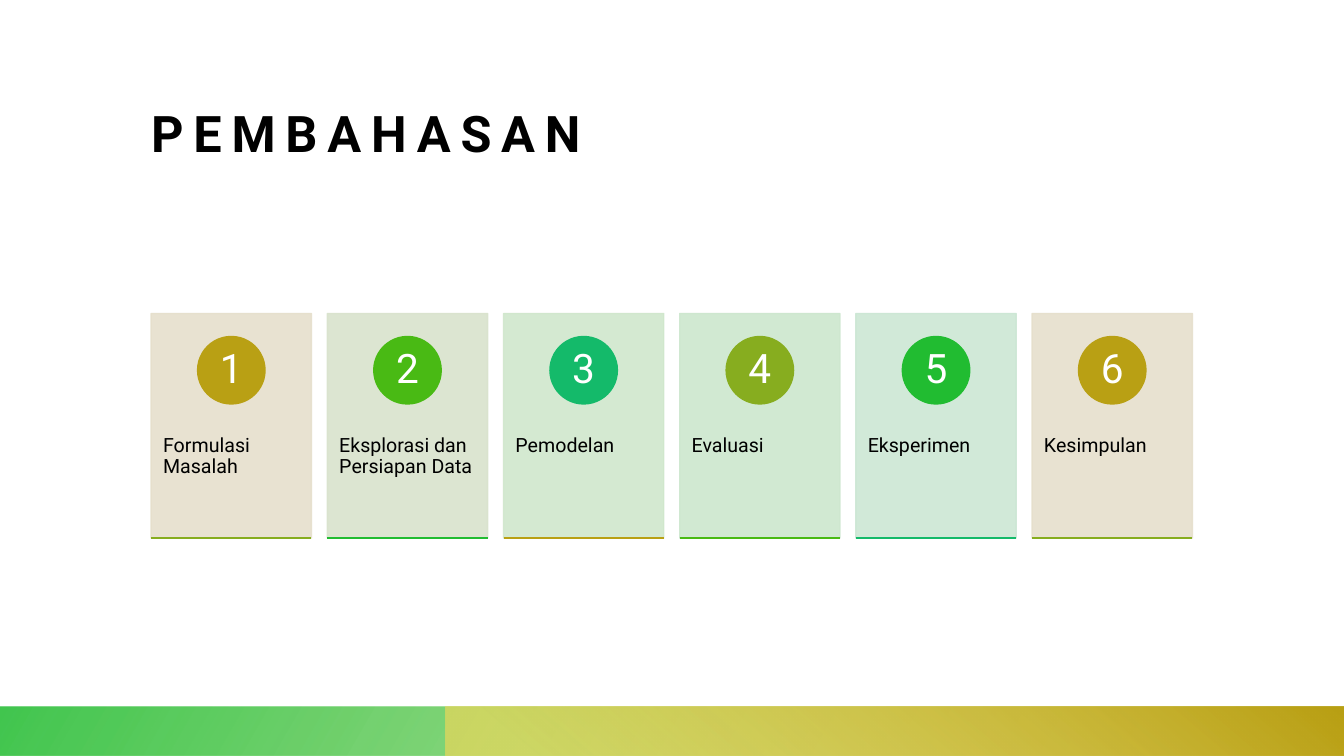
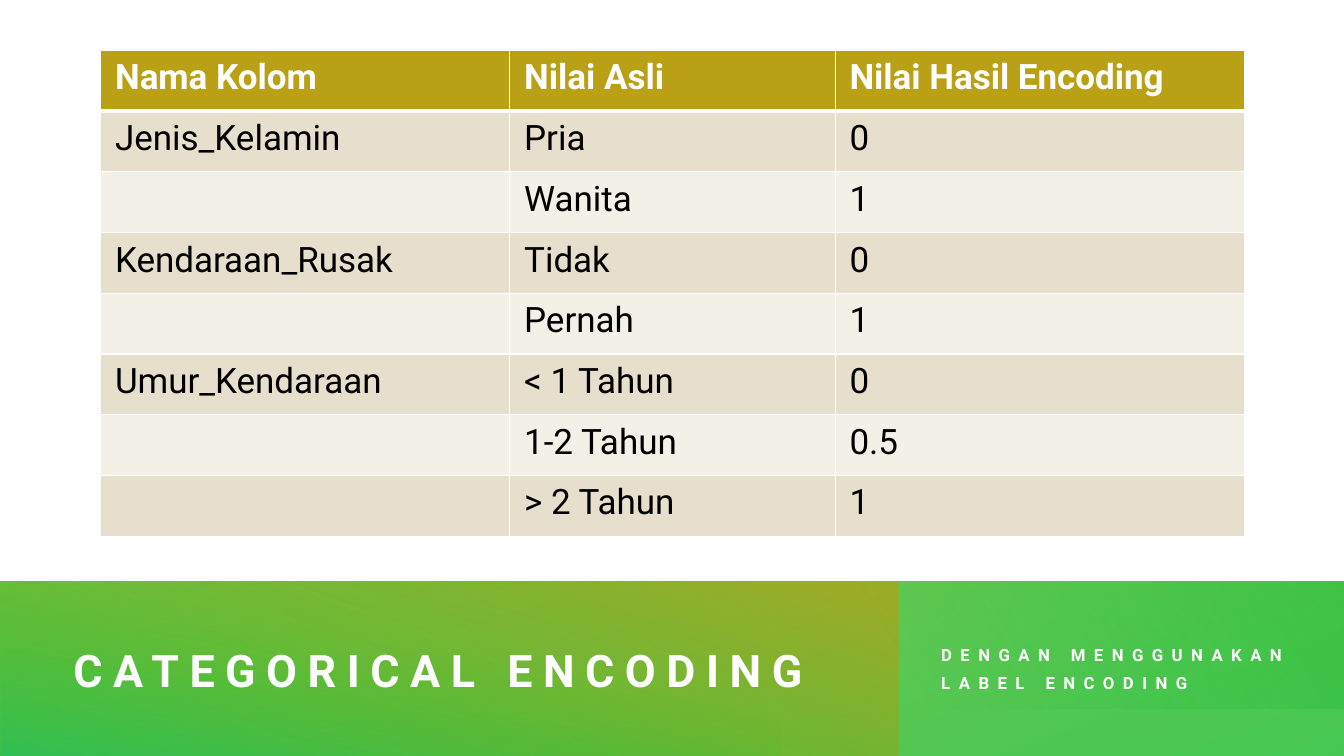
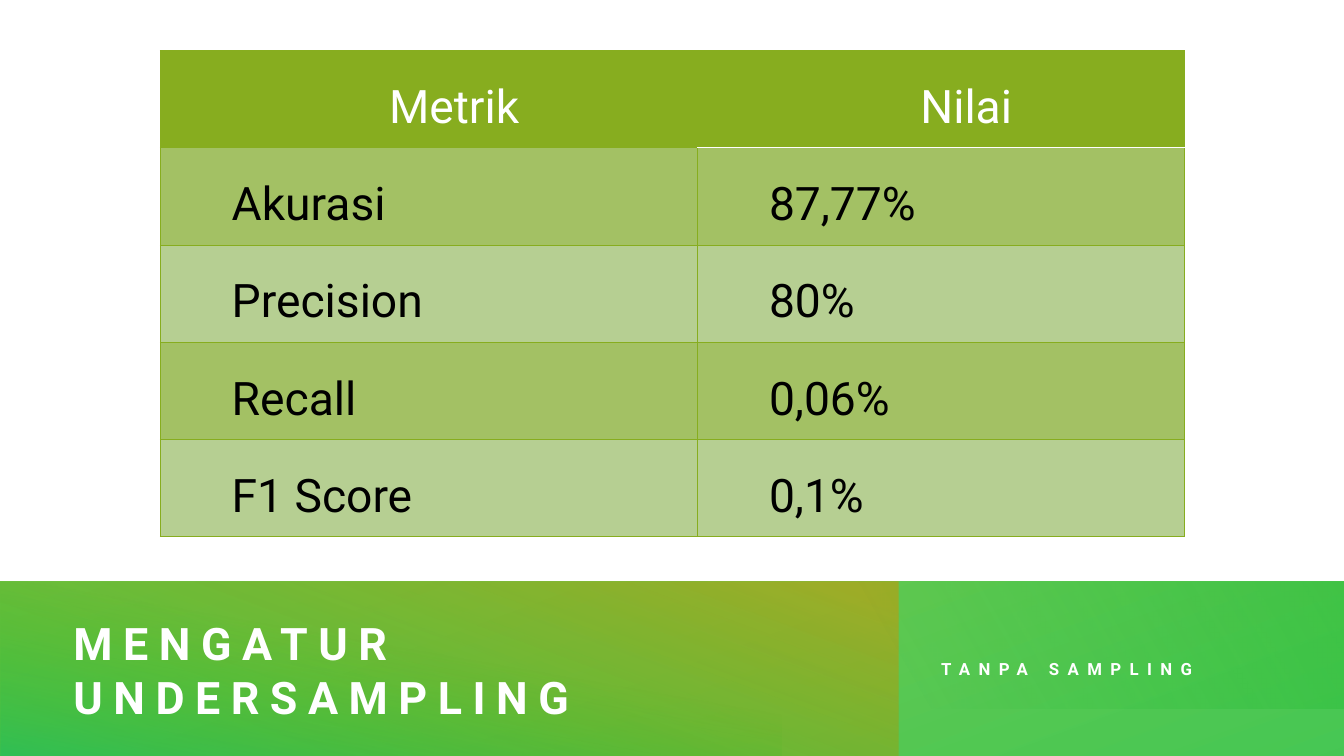
"""Build three slides: a numbered agenda and two tables over a gradient title banner."""
from dataclasses import dataclass
from typing import Optional

import lxml.etree
import pptx
import pptx.dml.color
import pptx.enum.shapes
import pptx.enum.text
import pptx.oxml.ns
import pptx.shapes.autoshape
import pptx.slide
import pptx.table
import pptx.text.text
import pptx.util

Cm = pptx.util.Cm
Pt = pptx.util.Pt
RGBColor = pptx.dml.color.RGBColor
qn = pptx.oxml.ns.qn
Align = pptx.enum.text.PP_ALIGN
Anchor = pptx.enum.text.MSO_ANCHOR
Preset = pptx.enum.shapes.MSO_SHAPE

FONT = "Roboto"
BLACK = RGBColor(0x00, 0x00, 0x00)
WHITE = RGBColor(0xFF, 0xFF, 0xFF)
GOLD = RGBColor(0xB9, 0xA0, 0x14)
YELLOW = RGBColor(0xED, 0xD7, 0x5A)
OLIVE = RGBColor(0x87, 0xAD, 0x1F)
LIME = RGBColor(0x49, 0xBA, 0x14)
GREEN = RGBColor(0x21, 0xBC, 0x31)
TEAL = RGBColor(0x14, 0xBA, 0x6A)
SAND = RGBColor(0xE6, 0xDF, 0xCC)
PALE_SAND = RGBColor(0xF3, 0xF0, 0xE7)
SAGE = RGBColor(0xD9, 0xE3, 0xCD)
PALE_LIME = RGBColor(0xD0, 0xE7, 0xCC)
PALE_GREEN = RGBColor(0xCD, 0xE7, 0xCE)
PALE_TEAL = RGBColor(0xCC, 0xE7, 0xD4)
OLIVE_BAND = RGBColor(0xA3, 0xC1, 0x64)
PALE_OLIVE_BAND = RGBColor(0xB6, 0xCF, 0x92)

SLIDE_WIDTH, SLIDE_HEIGHT = 33.87, 19.05
CARD_LEFT, CARD_TOP, CARD_PITCH = 3.81, 7.9, 4.44
CARD_WIDTH, CARD_HEIGHT = 4.04, 5.66
BADGE_SIZE, BADGE_OFFSET = 1.7, 0.58


@dataclass(frozen=True)
class Box:
    left: float
    top: float
    width: float
    height: float

    def lengths(self) -> tuple[int, int, int, int]:
        return Cm(self.left), Cm(self.top), Cm(self.width), Cm(self.height)


@dataclass(frozen=True)
class Stop:
    position: int
    color: RGBColor
    opacity: int = 100


@dataclass(frozen=True)
class Band:
    box: Box
    start: Stop
    end: Stop
    angle: int
    rotation: int = 0
    flipped: bool = False


@dataclass(frozen=True)
class TextStyle:
    size: float
    color: RGBColor
    bold: bool = False
    tracking: float = 0


@dataclass(frozen=True)
class Card:
    label: str
    fill: RGBColor
    badge: RGBColor
    rule: RGBColor


@dataclass(frozen=True)
class Border:
    color: RGBColor
    width: float


@dataclass(frozen=True)
class TableDesign:
    left: float
    column_widths: tuple[float, ...]
    row_height: float
    header_fill: RGBColor
    band_fills: tuple[RGBColor, RGBColor]
    header: TextStyle
    body: TextStyle
    border: Border
    header_rules: tuple[Border, ...]
    margins: tuple[float, float, float, float]
    header_alignment: Align = Align.LEFT
    indent: float = 0
    line_spacing: float = 1.0


FOOTER_BANDS = (
    Band(Box(0, 17.8, SLIDE_WIDTH, 1.25), Stop(14, LIME, 28), Stop(100, GREEN, 85), 150, 180, True),
    Band(Box(11.22, 17.8, 22.65, 1.25), Stop(9, YELLOW, 68), Stop(99, GOLD), 230, 0, True),
)
BANNER_BANDS = (
    Band(Box(0, 14.66, 33.88, 4.47), Stop(0, GREEN, 83), Stop(100, LIME, 74), 250),
    Band(Box(9.09, 5.56, 4.47, 22.66), Stop(5, GOLD, 68), Stop(100, GREEN, 43), 160, 90, True),
    Band(Box(7.62, 7.04, 4.47, 19.69), Stop(42, LIME, 0), Stop(99, TEAL, 48), 190, 270),
    Band(Box(13.69, 14.66, 20.22, 3.2), Stop(0, GREEN, 37), Stop(56, GREEN, 0), 330, 180),
)

AGENDA_TITLE = TextStyle(36, BLACK, True, 7)
BANNER_TITLE = TextStyle(32, WHITE, True, 7.5)
BANNER_SUBTITLE = TextStyle(12, WHITE, True, 6)
CARD_LABEL = TextStyle(14, BLACK)
BADGE_NUMBER = TextStyle(29, WHITE)

CARDS = (
    Card("Formulasi Masalah", SAND, GOLD, OLIVE),
    Card("Eksplorasi dan Persiapan Data", SAGE, LIME, GREEN),
    Card("Pemodelan", PALE_LIME, TEAL, GOLD),
    Card("Evaluasi", PALE_GREEN, OLIVE, LIME),
    Card("Eksperimen", PALE_TEAL, GREEN, TEAL),
    Card("Kesimpulan", SAND, GOLD, OLIVE),
)

ENCODING_ROWS = (
    ("Nama Kolom", "Nilai Asli", "Nilai Hasil Encoding"),
    ("Jenis_Kelamin", "Pria", "0"),
    ("", "Wanita", "1"),
    ("Kendaraan_Rusak", "Tidak", "0"),
    ("", "Pernah", "1"),
    ("Umur_Kendaraan", "< 1 Tahun", "0"),
    ("", "1-2 Tahun", "0.5"),
    ("", "> 2 Tahun", "1"),
)
ENCODING_DESIGN = TableDesign(
    2.54, (10.31, 8.2, 10.31), 1.53, GOLD, (SAND, PALE_SAND),
    TextStyle(25, WHITE, True), TextStyle(25, BLACK),
    Border(WHITE, 1), (Border(WHITE, 3),) * 3, (0.36, 0.18, 0.36, 0.18),
)

METRIC_ROWS = (
    ("Metrik", "Nilai"),
    ("Akurasi", "87,77%"),
    ("Precision", "80%"),
    ("Recall", "0,06%"),
    ("F1 Score", "0,1%"),
)
METRIC_DESIGN = TableDesign(
    4.04, (13.54, 12.27), 2.45, OLIVE, (OLIVE_BAND, PALE_OLIVE_BAND),
    TextStyle(33, WHITE), TextStyle(33, BLACK),
    Border(OLIVE, 0.5), (Border(OLIVE, 0.5), Border(WHITE, 1)), (0.53, 0.08, 0.53, 0),
    Align.CENTER, 1.27, 1.5,
)


def set_opacity(color_element: lxml.etree._Element, percent: int) -> None:
    if percent < 100:
        alpha = lxml.etree.SubElement(color_element, qn("a:alpha"))
        alpha.set("val", str(percent * 1000))


def add_run(paragraph: pptx.text.text._Paragraph, text: str, style: TextStyle) -> None:
    run = paragraph.add_run()
    run.text = text
    run.font.name = FONT
    run.font.size = Pt(style.size)
    run.font.bold = style.bold
    run.font.color.rgb = style.color
    if style.tracking:
        run.font._element.set("spc", str(round(style.tracking * 100)))


def write_text(
    frame: pptx.text.text.TextFrame,
    text: str,
    style: TextStyle,
    anchor: Anchor,
    alignment: Align = Align.LEFT,
    margins: tuple[float, float, float, float] = (0, 0, 0, 0),
    line_spacing: float = 1.0,
) -> None:
    frame.word_wrap = True
    frame.auto_size = pptx.enum.text.MSO_AUTO_SIZE.NONE
    frame.vertical_anchor = anchor
    frame.margin_left, frame.margin_top, frame.margin_right, frame.margin_bottom = map(Cm, margins)
    paragraph = frame.paragraphs[0]
    paragraph.alignment = alignment
    paragraph.line_spacing = line_spacing
    add_run(paragraph, text, style)


def add_band(slide: pptx.slide.Slide, band: Band) -> None:
    shape = slide.shapes.add_shape(Preset.RECTANGLE, *band.box.lengths())
    shape.shadow.inherit = False
    shape.line.fill.background()
    shape.rotation = band.rotation
    if band.flipped:
        shape.element.spPr.find(qn("a:xfrm")).set("flipH", "1")
    shape.fill.gradient()
    shape.fill.gradient_angle = 360 - band.angle
    stops = (band.start, band.end)
    for gradient_stop, stop in zip(shape.fill.gradient_stops, stops):
        gradient_stop.position = stop.position / 100
        gradient_stop.color.rgb = stop.color
    for color_element, stop in zip(shape.element.spPr.iter(qn("a:srgbClr")), stops):
        set_opacity(color_element, stop.opacity)


def add_solid(
    slide: pptx.slide.Slide, preset: Preset, box: Box, color: RGBColor, opacity: int = 100
) -> pptx.shapes.autoshape.Shape:
    shape = slide.shapes.add_shape(preset, *box.lengths())
    shape.shadow.inherit = False
    shape.fill.solid()
    shape.fill.fore_color.rgb = color
    shape.line.color.rgb = color
    shape.line.width = Pt(1)
    for color_element in shape.element.spPr.iter(qn("a:srgbClr")):
        set_opacity(color_element, opacity)
    return shape


def add_titled_slide(
    presentation: pptx.presentation.Presentation,
    bands: tuple[Band, ...],
    title: str,
    box: Box,
    style: TextStyle,
    anchor: Anchor,
) -> pptx.slide.Slide:
    slide = presentation.slides.add_slide(presentation.slide_layouts[5])
    for band in bands:
        add_band(slide, band)
    placeholder = slide.shapes.title
    placeholder.left, placeholder.top, placeholder.width, placeholder.height = box.lengths()
    write_text(placeholder.text_frame, title, style, anchor)
    slide.shapes._spTree.append(placeholder.element)
    return slide


def add_card(slide: pptx.slide.Slide, index: int, card: Card) -> None:
    left = CARD_LEFT + index * CARD_PITCH
    panel = add_solid(
        slide, Preset.RECTANGLE, Box(left, CARD_TOP, CARD_WIDTH, CARD_HEIGHT), card.fill, 90
    )
    write_text(
        panel.text_frame, card.label, CARD_LABEL, Anchor.TOP,
        margins=(0.3, 3.07, 0.3, 0.9), line_spacing=0.9,
    )
    badge_left = left + (CARD_WIDTH - BADGE_SIZE) / 2
    badge = add_solid(
        slide, Preset.OVAL,
        Box(badge_left, CARD_TOP + BADGE_OFFSET, BADGE_SIZE, BADGE_SIZE), card.badge,
    )
    write_text(
        badge.text_frame, str(index + 1), BADGE_NUMBER, Anchor.MIDDLE, Align.CENTER,
        line_spacing=0.9,
    )
    bottom = Cm(CARD_TOP + CARD_HEIGHT)
    rule = slide.shapes.add_connector(
        pptx.enum.shapes.MSO_CONNECTOR.STRAIGHT, Cm(left), bottom, Cm(left + CARD_WIDTH), bottom
    )
    rule.line.color.rgb = card.rule
    rule.line.width = Pt(1)
    lxml.etree.SubElement(rule.element.spPr, qn("a:effectLst"))


def set_borders(cell: pptx.table._Cell, border: Border, top: Border, bottom: Border) -> None:
    properties = cell._tc.get_or_add_tcPr()
    edges = (("a:lnL", border), ("a:lnR", border), ("a:lnT", top), ("a:lnB", bottom))
    for position, (tag, edge) in enumerate(edges):
        line = lxml.etree.Element(qn(tag), w=str(int(Pt(edge.width))))
        fill = lxml.etree.SubElement(line, qn("a:solidFill"))
        lxml.etree.SubElement(fill, qn("a:srgbClr"), val=str(edge.color))
        properties.insert(position, line)


def add_styled_table(
    slide: pptx.slide.Slide, rows: tuple[tuple[str, ...], ...], design: TableDesign
) -> None:
    box = Box(design.left, 1.27, sum(design.column_widths), design.row_height * len(rows))
    table = slide.shapes.add_table(len(rows), len(rows[0]), *box.lengths()).table
    table.horz_banding = False
    for column, width in zip(table.columns, design.column_widths):
        column.width = Cm(width)
    for row_index, values in enumerate(rows):
        table.rows[row_index].height = Cm(design.row_height)
        is_header = row_index == 0
        for column_index, value in enumerate(values):
            cell = table.cell(row_index, column_index)
            cell.margin_left, cell.margin_top, cell.margin_right, cell.margin_bottom = map(
                Cm, design.margins
            )
            cell.fill.solid()
            cell.fill.fore_color.rgb = (
                design.header_fill if is_header else design.band_fills[(row_index - 1) % 2]
            )
            header_rule = design.header_rules[column_index]
            set_borders(
                cell, design.border,
                header_rule if row_index == 1 else design.border,
                header_rule if is_header else design.border,
            )
            if value:
                paragraph = cell.text_frame.paragraphs[0]
                paragraph.alignment = design.header_alignment if is_header else Align.LEFT
                paragraph.line_spacing = design.line_spacing
                paragraph._p.get_or_add_pPr().set("marL", str(int(Cm(design.indent))))
                add_run(paragraph, value, design.header if is_header else design.body)


def add_table_slide(
    presentation: pptx.presentation.Presentation,
    title: str,
    subtitle: str,
    rows: tuple[tuple[str, ...], ...],
    design: TableDesign,
) -> None:
    slide = add_titled_slide(
        presentation, BANNER_BANDS, title, Box(1.85, 15.42, 20.02, 2.92),
        BANNER_TITLE, Anchor.MIDDLE,
    )
    add_styled_table(slide, rows, design)
    subtitle_box = slide.shapes.add_textbox(*Box(23.72, 15.67, 8.89, 2.16).lengths())
    write_text(
        subtitle_box.text_frame, subtitle, BANNER_SUBTITLE, Anchor.MIDDLE, line_spacing=1.4
    )
    subtitle_box.text_frame.paragraphs[0].space_before = Pt(10)


def main(subtitle_style: Optional[TextStyle] = None) -> None:
    presentation = pptx.Presentation()
    presentation.slide_width = Cm(SLIDE_WIDTH)
    presentation.slide_height = Cm(SLIDE_HEIGHT)
    agenda = add_titled_slide(
        presentation, FOOTER_BANDS, "PEMBAHASAN", Box(3.81, 1.32, 26.24, 2.79),
        AGENDA_TITLE, Anchor.BOTTOM,
    )
    for index, card in enumerate(CARDS):
        add_card(agenda, index, card)
    add_table_slide(
        presentation, "CATEGORICAL ENCODING", "DENGAN MENGGUNAKAN LABEL ENCODING",
        ENCODING_ROWS, ENCODING_DESIGN,
    )
    add_table_slide(
        presentation, "MENGATUR UNDERSAMPLING", "TANPA SAMPLING", METRIC_ROWS, METRIC_DESIGN
    )
    presentation.save("out.pptx")


if __name__ == "__main__":
    main()
